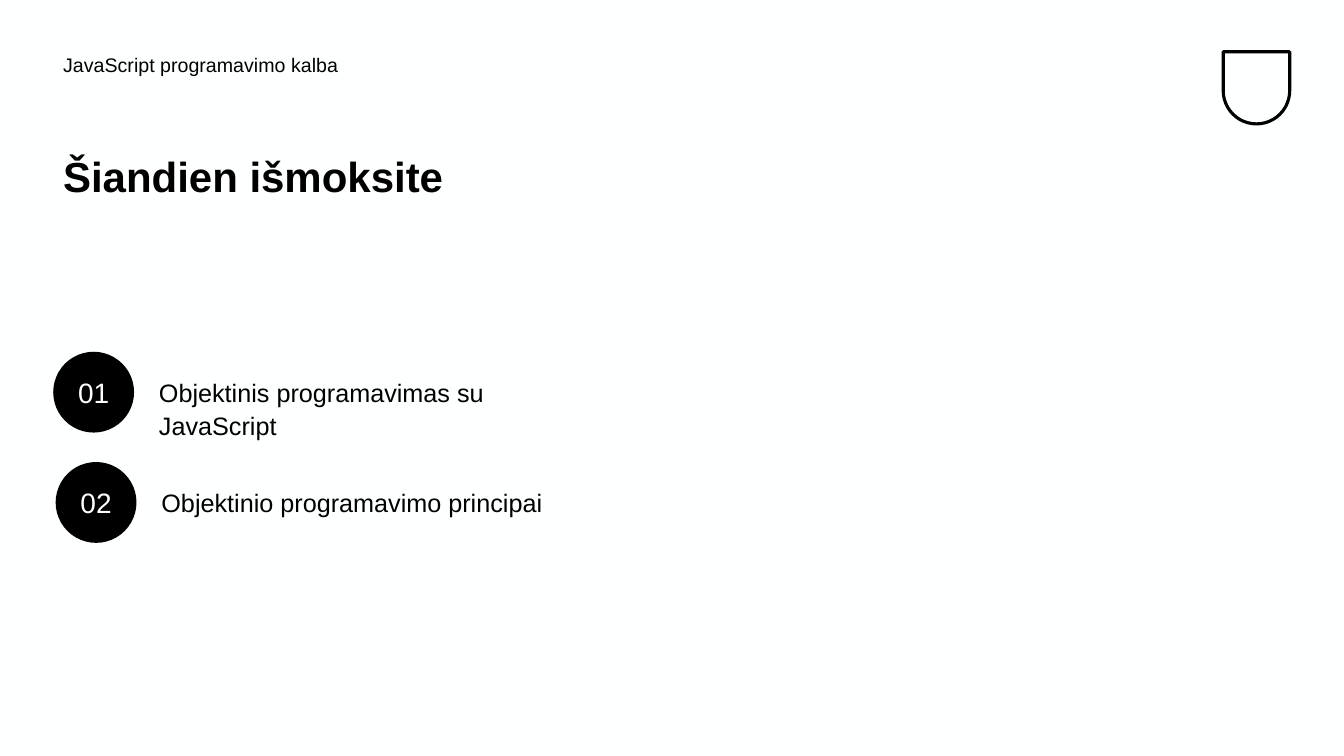
"""Build the lesson agenda slide of a JavaScript course."""
from dataclasses import dataclass

from pptx import Presentation
from pptx.dml.color import RGBColor as Color
from pptx.enum.shapes import MSO_SHAPE as Preset
from pptx.enum.text import MSO_ANCHOR as Anchor, PP_ALIGN as Align
from pptx.util import Pt

COURSE = "JavaScript programavimo kalba"
HEADING = "Šiandien išmoksite"
TOPICS = [
    ("01", "Objektinis programavimas su JavaScript", 38),
    ("02", "Objektinio programavimo principai", 39.75),
]


@dataclass(frozen=True)
class Theme:
    font: str = "Arial"
    ink: Color = Color(0x00, 0x00, 0x00)
    paper: Color = Color(0xFE, 0xFF, 0xFF)
    course_size: int = 14
    heading_size: int = 30
    topic_size: int = 18
    number_size: int = 20


THEME = Theme()
MARGIN = 38
TOPICS_TOP, TOPIC_PITCH = 251.25, 78.75
BADGE, TOPIC_INDENT, TOPIC_DROP = 57.75, 68.5, 13


def write(frame, wording, size, color, spacing=None, bold=False):
    """Fill a text frame with one styled paragraph and return it."""
    frame.word_wrap = True
    paragraph = frame.paragraphs[0]
    paragraph.text = wording
    paragraph.line_spacing = spacing
    font = paragraph.font
    font.name, font.size, font.bold = THEME.font, Pt(size), bold
    font.color.rgb = color
    return paragraph


def add_text(slide, box, wording, size, spacing, bold=False):
    """Add a wrapped text box."""
    frame = slide.shapes.add_textbox(*map(Pt, box)).text_frame
    write(frame, wording, size, THEME.ink, spacing, bold)


def add_badge(slide, left, top, number):
    """Add a numbered disc."""
    disc = slide.shapes.add_shape(Preset.OVAL, Pt(left), Pt(top), Pt(BADGE), Pt(BADGE))
    disc.shadow.inherit = False
    disc.fill.solid()
    disc.fill.fore_color.rgb = THEME.ink
    disc.line.fill.background()
    disc.text_frame.vertical_anchor = Anchor.MIDDLE
    write(disc.text_frame, number, THEME.number_size, THEME.paper).alignment = Align.CENTER


def add_shield(slide):
    """Add a plain outlined shield in the top right corner."""
    shield = slide.shapes.add_shape(
        Preset.ROUND_2_SAME_RECTANGLE, Pt(873.75), Pt(37), Pt(47.5), Pt(51.5))
    shield.adjustments[0], shield.adjustments[1] = 0, 0.5
    shield.shadow.inherit = False
    shield.fill.background()
    shield.line.color.rgb = THEME.ink
    shield.line.width = Pt(2.25)


def main():
    """Lay out and save the slide."""
    deck = Presentation()
    deck.slide_width, deck.slide_height = Pt(960), Pt(540)
    slide = deck.slides.add_slide(deck.slide_layouts[6])
    slide.background.fill.solid()
    slide.background.fill.fore_color.rgb = THEME.paper

    add_shield(slide)
    add_text(slide, (MARGIN, 36, 534, 36), COURSE, THEME.course_size, 0.9)
    add_text(slide, (MARGIN, 108, 406, 107), HEADING, THEME.heading_size, 0.9, True)
    for row, (number, topic, left) in enumerate(TOPICS):
        top = TOPICS_TOP + row * TOPIC_PITCH
        add_text(slide, (left + TOPIC_INDENT, top + TOPIC_DROP, 333.25, 32.5),
                 topic, THEME.topic_size, 1.08)
        add_badge(slide, left, top, number)
    deck.save("out.pptx")


if __name__ == "__main__":
    main()
